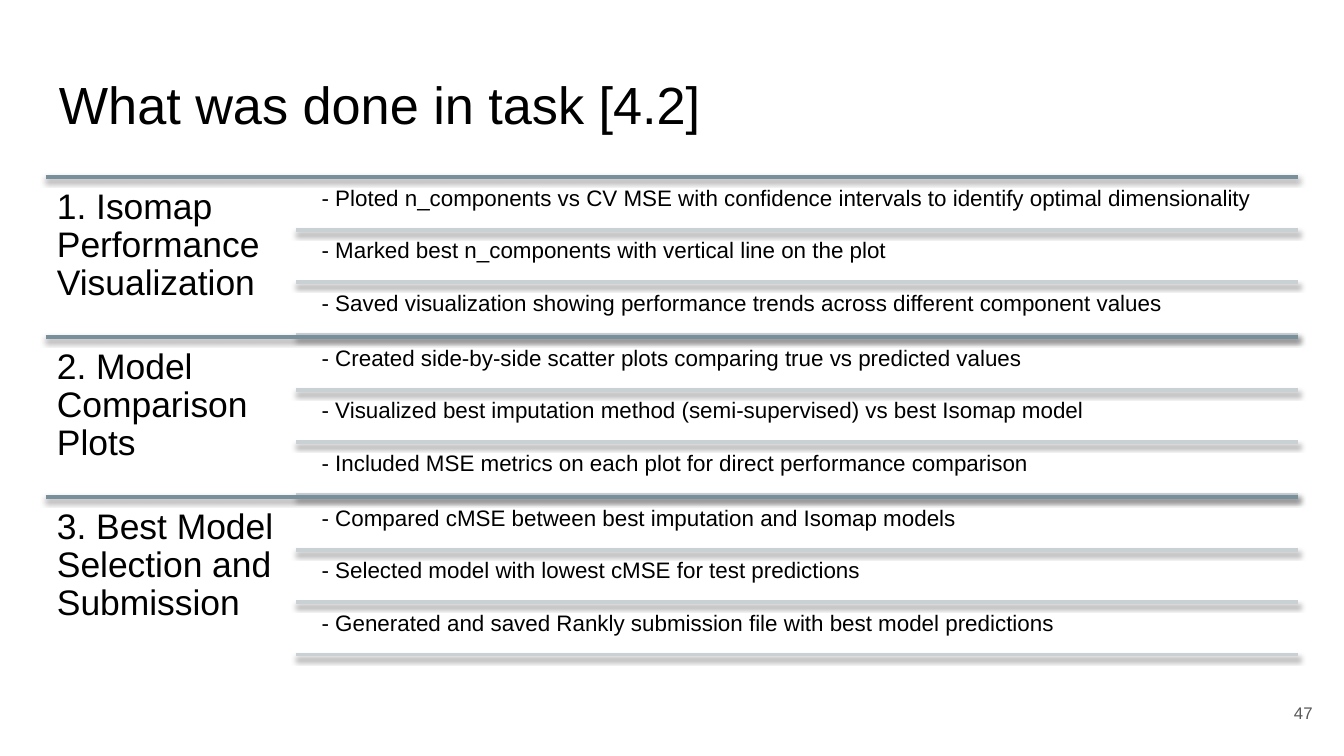
from dataclasses import dataclass

from lxml import etree
from pptx import Presentation
from pptx.dml.color import RGBColor
from pptx.enum import shapes, text
from pptx.oxml import ns
from pptx.slide import Slide
from pptx.util import Pt


@dataclass(frozen=True)
class Theme:
    font: str = "Arial"
    ink: str = "000000"
    muted: str = "595959"
    major: str = "78909C"
    minor: str = "CAD1D5"
    title: float = 28
    head: float = 19
    body: float = 12
    number: float = 9
    rule: float = 2


@dataclass(frozen=True)
class Box:
    left: float
    top: float
    width: float
    height: float
    inset: float


@dataclass(frozen=True)
class Group:
    head: str
    items: tuple[str, ...]


THEME = Theme()
LEFT, RIGHT, TOP = 24.5, 695.5, 95
HEAD = 134
INDENT = 10
PITCH = 85.7
STEP = 28.1
GAP = 1.4

GROUPS = (
    Group("1. Isomap Performance Visualization", (
        "- Ploted n_components vs CV MSE with confidence intervals to identify optimal dimensionality",
        "- Marked best n_components with vertical line on the plot",
        "- Saved visualization showing performance trends across different component values",
    )),
    Group("2. Model Comparison Plots", (
        "- Created side-by-side scatter plots comparing true vs predicted values",
        "- Visualized best imputation method (semi-supervised) vs best Isomap model",
        "- Included MSE metrics on each plot for direct performance comparison",
    )),
    Group("3. Best Model Selection and Submission", (
        "- Compared cMSE between best imputation and Isomap models",
        "- Selected model with lowest cMSE for test predictions",
        "- Generated and saved Rankly submission file with best model predictions",
    )),
)


def write(slide: Slide, words: str, box: Box, size: float,
          color: str = THEME.ink,
          anchor: text.MSO_ANCHOR = text.MSO_ANCHOR.TOP,
          align: text.PP_ALIGN = text.PP_ALIGN.LEFT) -> None:
    shape = slide.shapes.add_textbox(
        Pt(box.left), Pt(box.top), Pt(box.width), Pt(box.height))
    frame = shape.text_frame
    frame.text = words
    frame.word_wrap = True
    frame.vertical_anchor = anchor
    frame.margin_left = frame.margin_right = Pt(box.inset)
    frame.margin_top = frame.margin_bottom = Pt(box.inset)
    para = frame.paragraphs[0]
    para.alignment = align
    para.line_spacing = 0.9
    font = para.runs[0].font
    font.name = THEME.font
    font.size = Pt(size)
    font.color.rgb = RGBColor.from_string(color)


def rule(slide: Slide, left: float, top: float, color: str) -> None:
    """Draw a horizontal line to the right margin with a soft shadow below."""
    line = slide.shapes.add_connector(
        shapes.MSO_CONNECTOR.STRAIGHT, Pt(left), Pt(top), Pt(RIGHT), Pt(top))
    line.line.width = Pt(THEME.rule)
    line.line.color.rgb = RGBColor.from_string(color)
    props = line.element.spPr
    effects = etree.SubElement(props, ns.qn("a:effectLst"))
    shade = etree.SubElement(
        effects, ns.qn("a:outerShdw"), blurRad=str(Pt(3.15)),
        dist=str(Pt(1.57)), dir="5400000", rotWithShape="0")
    tint = etree.SubElement(shade, ns.qn("a:srgbClr"), val="000000")
    etree.SubElement(tint, ns.qn("a:alpha"), val="38000")


def draw(slide: Slide, group: Group, top: float) -> None:
    rule(slide, LEFT, top, THEME.major)
    write(slide, group.head, Box(LEFT, top, HEAD, PITCH, 6), THEME.head)
    start = LEFT + HEAD
    for row, item in enumerate(group.items):
        y = top + GAP + row * STEP
        left = start + INDENT
        box = Box(left, y, RIGHT - left, STEP - GAP, 3.8)
        write(slide, item, box, THEME.body)
        rule(slide, start, y + STEP - GAP, THEME.minor)


def main() -> None:
    deck = Presentation()
    deck.slide_width, deck.slide_height = Pt(720), Pt(405)
    slide = deck.slides.add_slide(deck.slide_layouts[6])
    middle = text.MSO_ANCHOR.MIDDLE
    write(slide, "What was done in task [4.2]",
          Box(LEFT, 35, RIGHT - LEFT, 45.1, 7.2), THEME.title, anchor=middle)
    write(slide, "47", Box(667.1, 367.2, 43.2, 31, 7.2), THEME.number,
          THEME.muted, middle, text.PP_ALIGN.RIGHT)
    for index, group in enumerate(GROUPS):
        draw(slide, group, TOP + index * PITCH)
    deck.save("out.pptx")


if __name__ == "__main__":
    main()
